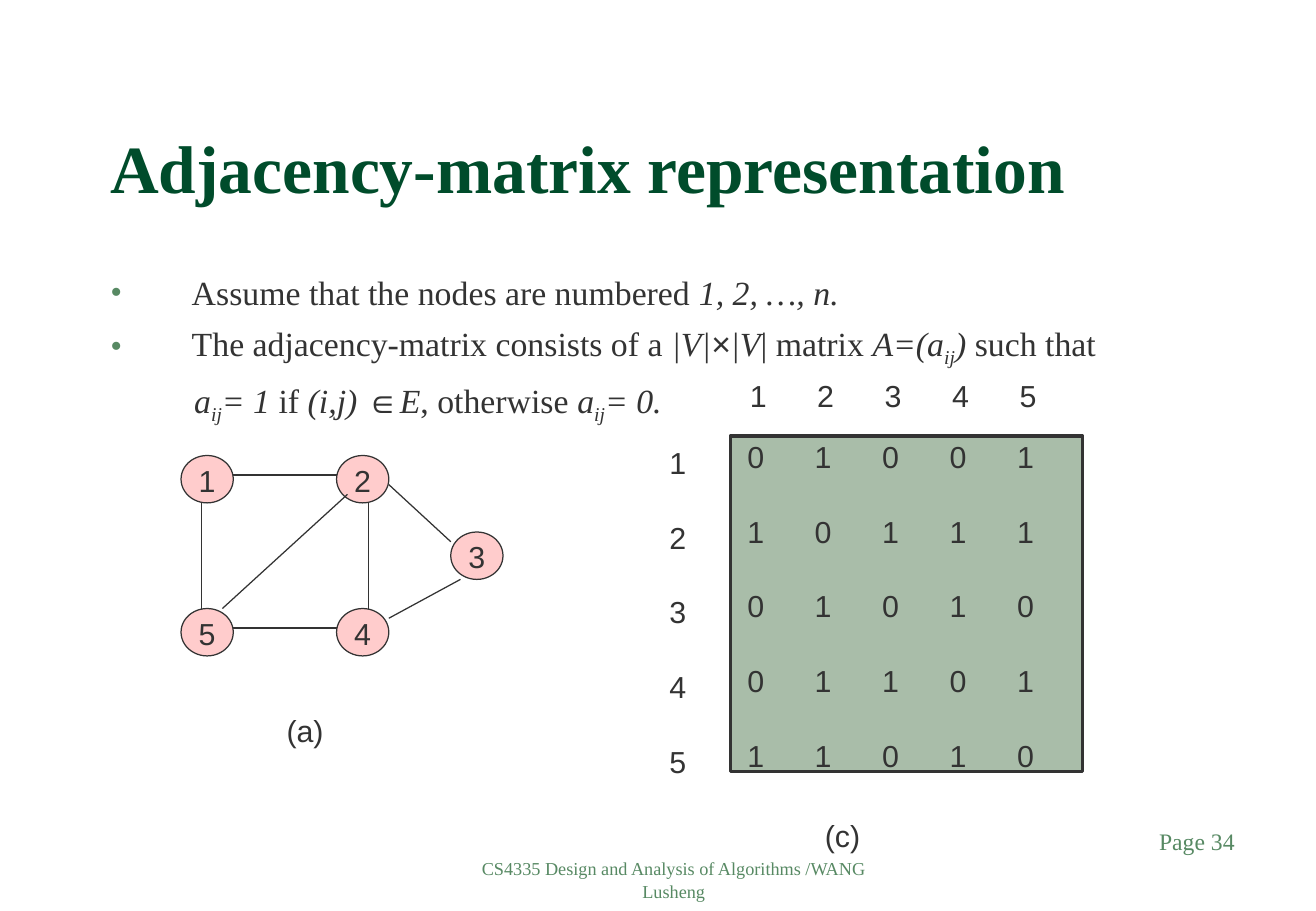
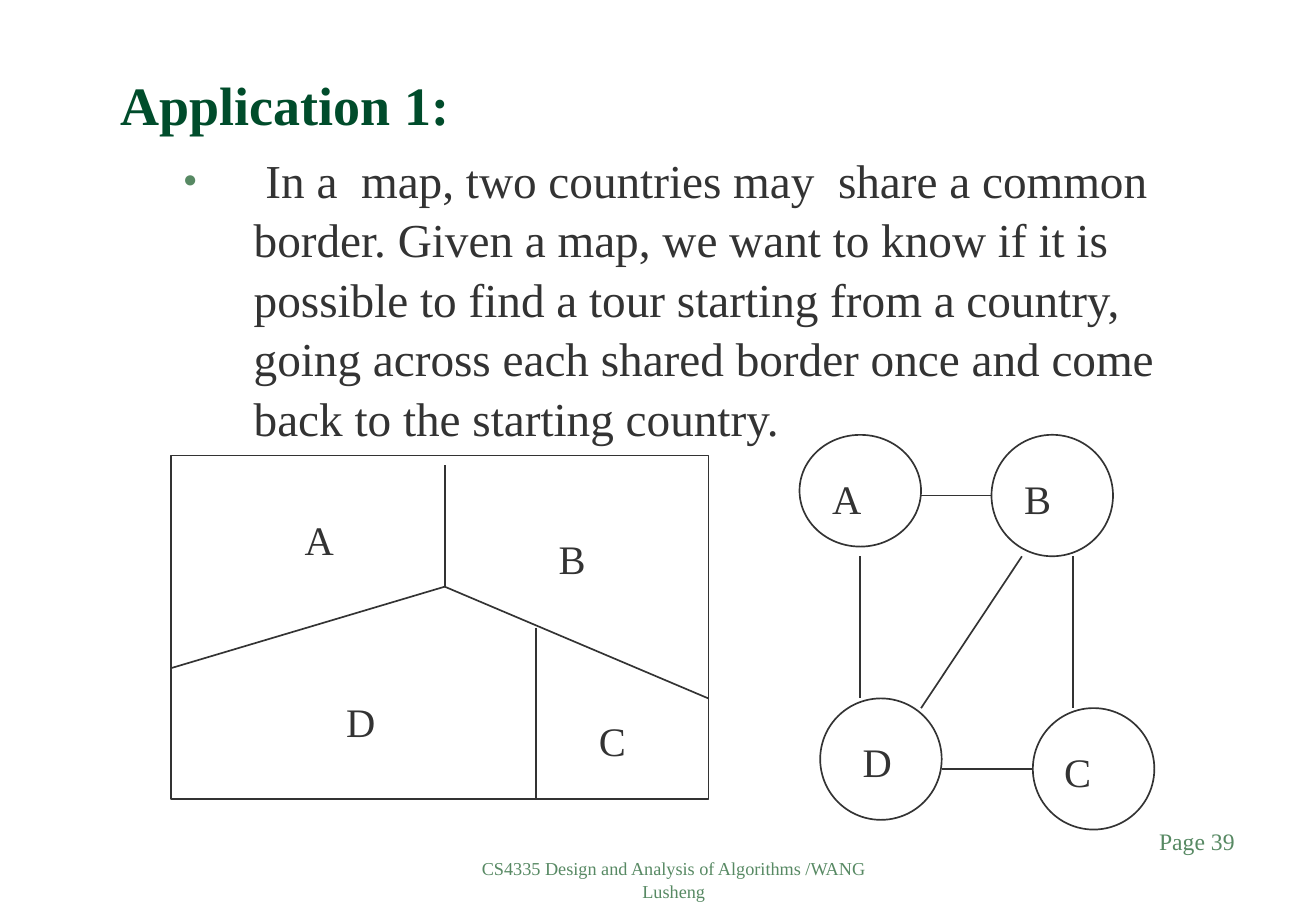
from dataclasses import dataclass

from lxml import etree
from pptx import Presentation
from pptx.dml.color import RGBColor
from pptx.enum.shapes import MSO_CONNECTOR, MSO_SHAPE
from pptx.enum.text import MSO_ANCHOR, PP_ALIGN
from pptx.oxml.ns import qn
from pptx.util import Inches, Pt

LEFT, MID, RIGHT = PP_ALIGN.LEFT, PP_ALIGN.CENTER, PP_ALIGN.RIGHT
TOP, CENTER, BOTTOM = MSO_ANCHOR.TOP, MSO_ANCHOR.MIDDLE, MSO_ANCHOR.BOTTOM
OVAL, RECT = MSO_SHAPE.OVAL, MSO_SHAPE.RECTANGLE
STRAIGHT = MSO_CONNECTOR.STRAIGHT


@dataclass(frozen=True)
class Theme:
    """Colours, fonts and type sizes of the deck."""
    ink: str = "333333"
    title: str = "004C2B"
    accent: str = "578963"
    paper: str = "FFFFFF"
    node: str = "FFCCCC"
    matrix: str = "A9BDA9"
    serif: str = "Times New Roman"
    sans: str = "Arial"
    head: float = 40
    subhead: float = 32
    large: float = 28
    label: float = 24
    body: float = 20
    small: float = 18
    page: float = 14
    foot: float = 10.8
    leading: float = 1.05


T = Theme()
FOOTER = "CS4335 Design and Analysis of Algorithms /WANG Lusheng"
COLUMN = 0.555
ROW_GAP = 21.7


def rgb(code):
    """Turn a hex code into a colour."""
    return RGBColor.from_string(code)


def add_run(para, text, size, color=T.ink, font=T.serif, bold=False, style=""):
    """Add a run; style letters are i italic, s subscript, x sans."""
    run = para.add_run()
    run.text = text
    run.font.size = Pt(size)
    run.font.name = T.sans if "x" in style else font
    run.font.color.rgb = rgb(color)
    run.font.bold = bold
    run.font.italic = "i" in style
    if "s" in style:
        run.font._element.set("baseline", "-25000")


def set_bullet(para, char, size=100):
    """Give a paragraph a coloured bullet."""
    props = para._p.get_or_add_pPr()
    tint = etree.SubElement(props, qn("a:buClr"))
    etree.SubElement(tint, qn("a:srgbClr"), val=T.accent)
    etree.SubElement(props, qn("a:buSzPct"), val=str(size * 1000))
    etree.SubElement(props, qn("a:buFont"), typeface=T.serif)
    etree.SubElement(props, qn("a:buChar"), char=char)


def set_indent(para, margin, first=0):
    """Set the left margin and first-line indent in inches."""
    props = para._p.get_or_add_pPr()
    props.set("marL", str(Inches(margin)))
    props.set("indent", str(Inches(first)))


def set_tabs(para, step, count):
    """Add evenly spaced left tab stops."""
    tabs = etree.SubElement(para._p.get_or_add_pPr(), qn("a:tabLst"))
    for i in range(1, count + 1):
        etree.SubElement(tabs, qn("a:tab"), pos=str(Inches(step * i)), algn="l")


def set_frame(shape, inset=(0.1, 0.05), anchor=TOP, wrap=True):
    """Set insets, anchor and wrapping of a text frame."""
    frame = shape.text_frame
    frame.margin_left = frame.margin_right = Inches(inset[0])
    frame.margin_top = frame.margin_bottom = Inches(inset[1])
    frame.vertical_anchor = anchor
    frame.word_wrap = wrap
    return frame


def add_para(frame, first, align=LEFT, before=0):
    """Return the first paragraph of a frame, or a further one."""
    para = frame.paragraphs[0] if first else frame.add_paragraph()
    para.alignment = align
    para.line_spacing = T.leading
    para.space_before = Pt(0 if first else before)
    return para


def add_box(slide, at, inset=(0.1, 0.05), anchor=TOP):
    """Add an empty text box and return its frame."""
    box = slide.shapes.add_textbox(*map(Inches, at))
    return set_frame(box, inset, anchor)


def add_text(slide, at, text, size, align=LEFT, anchor=TOP, **look):
    """Add a box with one line of text."""
    para = add_para(add_box(slide, at, anchor=anchor), True, align)
    add_run(para, text, size, **look)


def add_rows(frame, rows):
    """Fill a frame with rows of tabbed digits."""
    for i, row in enumerate(rows):
        para = add_para(frame, i == 0, before=ROW_GAP)
        set_tabs(para, COLUMN, len(row) - 1)
        add_run(para, "\t".join(row), T.small, font=T.sans)


def add_shape(slide, kind, at, fill, width):
    """Add an outlined preset shape."""
    shape = slide.shapes.add_shape(kind, *map(Inches, at))
    shape.shadow.inherit = False
    shape.fill.solid()
    shape.fill.fore_color.rgb = rgb(fill)
    shape.line.color.rgb = rgb(T.ink)
    shape.line.width = Pt(width)
    return shape


def add_lines(slide, ends, width):
    """Add straight lines from a list of end points."""
    for points in ends:
        line = slide.shapes.add_connector(STRAIGHT, *map(Inches, points))
        line.line.color.rgb = rgb(T.ink)
        line.line.width = Pt(width)
        etree.SubElement(line._element.spPr, qn("a:effectLst"))


def add_slide(deck, title, height, size, page):
    """Add a slide with its title, footer and page number."""
    slide = deck.slides.add_slide(deck.slide_layouts[6])
    slide.background.fill.solid()
    slide.background.fill.fore_color.rgb = rgb(T.paper)
    add_text(slide, (3.83, 7, 3.43, 0.5), FOOTER, T.foot, MID, color=T.accent)
    add_text(slide, (8, 6.75, 2.26, 0.5), f"Page {page}", T.page, RIGHT,
             color=T.accent)
    add_text(slide, (0.81, 0.5, 9.2, height), title, size, anchor=BOTTOM,
             color=T.title, bold=True)
    return slide


def add_graph(slide):
    """Draw the numbered graph with its caption."""
    nodes = {"2": (2.77, 3.75), "1": (1.49, 3.75), "5": (1.49, 5.01),
             "4": (2.77, 5.01), "3": (3.71, 4.38)}
    for name, spot in nodes.items():
        node = add_shape(slide, OVAL, (*spot, 0.43, 0.39), T.node, 0.75)
        frame = set_frame(node, anchor=CENTER, wrap=False)
        add_run(add_para(frame, True, MID), name, T.small, font=T.sans)
    add_lines(slide, [
        (1.92, 3.91, 2.77, 3.91), (1.66, 4.14, 1.66, 5.01),
        (1.92, 5.17, 2.77, 5.17), (3.03, 4.14, 3.03, 5.01),
        (1.83, 5.01, 2.86, 4.07), (3.2, 3.99, 3.71, 4.46),
        (3.2, 5.09, 3.79, 4.77)], 0.75)
    add_text(slide, (2.26, 5.8, 0.6, 0.4), "(a)", T.small, font=T.sans)


def add_matrix(slide):
    """Draw the adjacency matrix with its row and column numbers."""
    panel = add_shape(slide, RECT, (6.01, 3.59, 2.9, 2.76), T.matrix, 2)
    add_rows(set_frame(panel, (0.14, 0)),
             ["01001", "10111", "01010", "01101", "11010"])
    add_rows(add_box(slide, (5.93, 3.04, 3.01, 0.7), (0.24, 0.05)), ["12345"])
    add_rows(add_box(slide, (5.41, 3.59, 0.43, 2.8)), "12345")
    add_text(slide, (6.69, 6.66, 0.6, 0.4), "(c)", T.small, font=T.sans)


def build_matrix(deck):
    """Build the slide on the adjacency matrix."""
    slide = add_slide(deck, "Adjacency-matrix representation", 1.25, T.head, 34)
    lines = [
        (True, [("Assume that the nodes are numbered ", ""),
                ("1, 2, …, n.", "i")]),
        (True, [("The adjacency-matrix consists of a ", ""), ("|V|", "i"),
                ("×", "ix"), ("|V", "i"), ("| matrix ", ""), ("A=(a", "i"),
                ("ij", "is"), (") ", "i"), ("such that", "")]),
        (False, [("a", "i"), ("ij", "is"), ("= 1", "i"), (" if ", ""),
                 ("(i,j) ", "i"), ("∈", "ix"), ("E", "i"),
                 (", otherwise ", ""), ("a", "i"), ("ij", "is"),
                 ("= 0.", "i")])]
    frame = add_box(slide, (0.81, 2.17, 9.2, 4.5))
    for i, (marked, runs) in enumerate(lines):
        para = add_para(frame, i == 0, before=5)
        if marked:
            set_indent(para, 0.67, -0.67)
            set_bullet(para, "•")
        else:
            set_indent(para, 0.69)
        for text, style in runs:
            add_run(para, text, T.body, style=style)
    add_graph(slide)
    add_matrix(slide)


def add_labels(slide, spots):
    """Place country letters at the given corners."""
    for name, left, top in spots:
        add_text(slide, (left, top, 0.67, 0.5), name, T.label)


def add_map(slide):
    """Draw the map of four countries."""
    add_shape(slide, RECT, (1.41, 3.75, 4.42, 2.83), T.paper, 1)
    add_lines(slide, [
        (1.41, 5.5, 3.66, 4.83), (3.66, 4.83, 3.66, 3.83),
        (3.66, 4.83, 5.83, 5.75), (4.41, 5.17, 4.41, 6.58)], 1)
    add_labels(slide, [("A", 2.41, 4.17), ("B", 4.5, 4.33),
                       ("C", 4.83, 5.83), ("D", 2.75, 5.67)])


def add_dual(slide):
    """Draw the graph of shared borders."""
    for left, top, height in [(6.58, 3.58, 0.92), (8.16, 3.58, 1),
                              (8.5, 5.83, 1), (6.75, 5.75, 1)]:
        add_shape(slide, OVAL, (left, top, 1, height), T.paper, 1)
    add_labels(slide, [("A", 6.75, 3.83), ("B", 8.33, 3.83),
                       ("C", 8.66, 6.08), ("D", 7, 6)])
    add_lines(slide, [
        (7.08, 4.58, 7.08, 5.75), (7.58, 5.83, 8.41, 4.58),
        (7.75, 6.33, 8.5, 6.33), (7.58, 4.08, 8.16, 4.08),
        (8.83, 4.58, 8.83, 5.83)], 1)


def build_map(deck):
    """Build the slide on the map tour."""
    slide = add_slide(deck, " Application 1:", 0.67, T.subhead, 39)
    para = add_para(add_box(slide, (0.91, 1.17, 9.2, 5.92)), True)
    set_indent(para, 1.08, -0.58)
    set_bullet(para, "●", 50)
    add_run(para, " In a  map, two countries may  share a common border. "
            "Given a map, we want to know if it is possible to find a tour "
            "starting from a country, going across each shared border once "
            "and come back to the starting country.", T.large)
    add_map(slide)
    add_dual(slide)


def main():
    """Build and save the deck."""
    deck = Presentation()
    deck.slide_width, deck.slide_height = Inches(10.83), Inches(7.5)
    build_matrix(deck)
    build_map(deck)
    deck.save("out.pptx")


if __name__ == "__main__":
    main()
